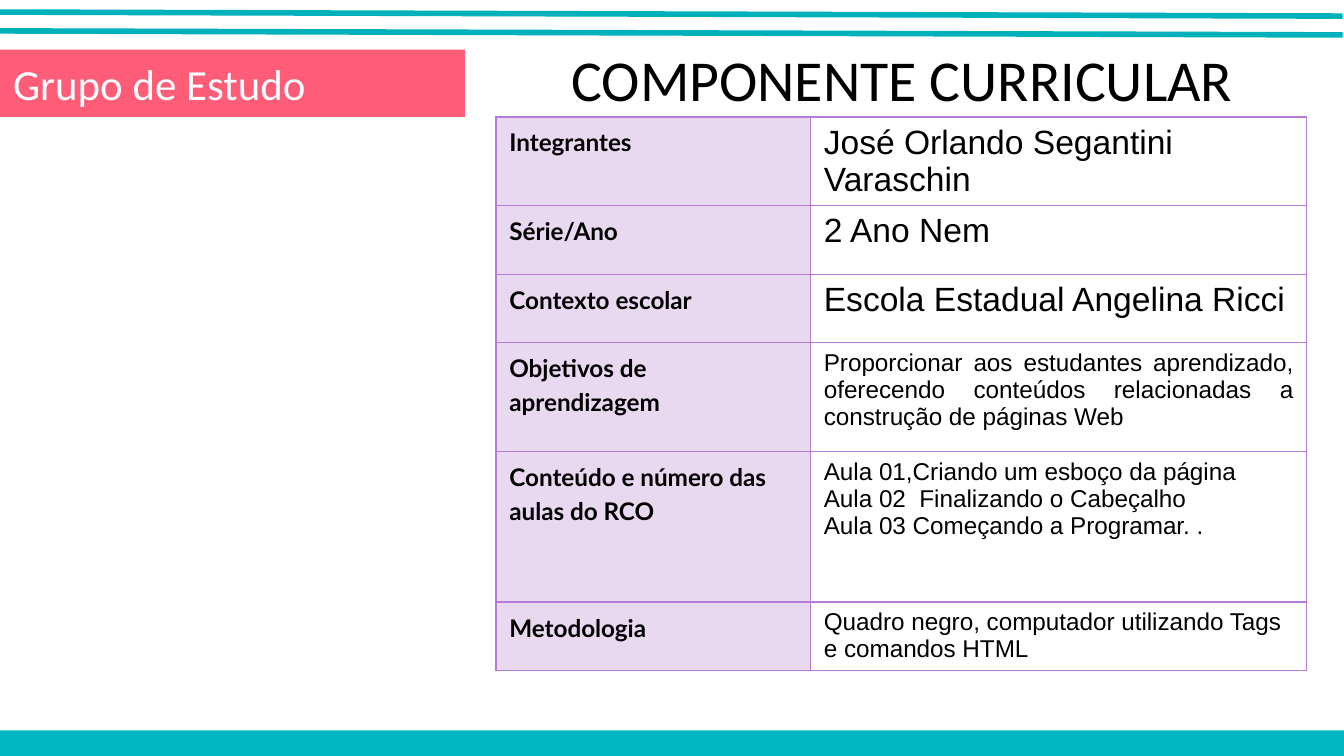
from lxml.etree import SubElement
from pptx import Presentation
from pptx.dml.color import RGBColor
from pptx.enum.shapes import MSO_CONNECTOR as Line, MSO_SHAPE as Shape
from pptx.enum.text import MSO_ANCHOR as Anchor, PP_ALIGN as Align
from pptx.oxml.ns import qn
from pptx.util import Inches, Pt

WHITE = RGBColor(0xFF, 0xFF, 0xFF)
BLACK = RGBColor(0x00, 0x00, 0x00)
TEAL = RGBColor(0x00, 0xB7, 0xC1)
DEEP_TEAL = RGBColor(0x00, 0xB0, 0xBA)
CORAL = RGBColor(0xFF, 0x5C, 0x77)
LILAC = RGBColor(0xCE, 0xAD, 0xE2)
BORDER = RGBColor(0xB5, 0x7C, 0xD7)

deck = Presentation()
W = Inches(10)
H = W * 9 // 16
deck.slide_width, deck.slide_height = W, H
slide = deck.slides.add_slide(deck.slide_layouts[5])


def write(paragraph, text, align=Align.LEFT, spacing=1.0, **font):
    paragraph.alignment = align
    paragraph.line_spacing = spacing
    run = paragraph.add_run()
    run.text = text
    run.font.color.rgb = font.pop("color", BLACK)
    for name, value in font.items():
        setattr(run.font, name, value)


def set_frame(frame, inset):
    settings = {"margin_left": inset, "margin_right": inset, "margin_top": inset,
                "margin_bottom": inset, "word_wrap": True, "vertical_anchor": Anchor.MIDDLE}
    for name, value in settings.items():
        setattr(frame, name, value)


for y in (0.09, 0.23):
    stripe = slide.shapes.add_connector(Line.STRAIGHT, 0, Inches(y), Inches(9.99), Inches(y + 0.03))
    stripe.line.color.rgb = DEEP_TEAL
    stripe.line.width = Pt(3)
    SubElement(stripe._element.spPr, qn("a:effectLst"))

bands = []
for top, width, height, color in ((H - Inches(0.19), W, Inches(0.19), TEAL),
                                  (Inches(0.37), Inches(3.46), Inches(0.5), CORAL)):
    band = slide.shapes.add_shape(Shape.RECTANGLE, 0, top, width, height)
    band.shadow.inherit = False
    band.fill.solid()
    band.fill.fore_color.rgb = color
    band.line.fill.background()
    bands.append(band)

group_label = bands[1].text_frame
set_frame(group_label, Inches(0.1))
write(group_label.paragraphs[0], "Grupo de Estudo", size=Pt(23), name="Calibri", color=WHITE)

heading = slide.shapes.title
heading.left, heading.top, heading.width, heading.height = map(Inches, (2.86, 0.22, 7.7, 0.72))
set_frame(heading.text_frame, Inches(0.1))
write(heading.text_frame.paragraphs[0], "COMPONENTE CURRICULAR", Align.CENTER,
      size=Pt(31), name="Calibri")

plan = [
    ("Integrantes", ["José Orlando Segantini Varaschin"], 18, Align.LEFT, 0.51),
    ("Série/Ano", ["2 Ano Nem"], 18, Align.LEFT, 0.51),
    ("Contexto escolar", ["Escola Estadual Angelina Ricci"], 18, Align.LEFT, 0.51),
    ("Objetivos de aprendizagem",
     ["Proporcionar aos estudantes aprendizado, oferecendo conteúdos relacionadas a "
      "construção de páginas Web"], 13, Align.JUSTIFY, 0.81),
    ("Conteúdo e número das aulas do RCO",
     ["Aula 01,Criando um esboço da página", "Aula 02  Finalizando o Cabeçalho",
      "Aula 03 Começando a Programar. ."], 13, Align.LEFT, 1.12),
    ("Metodologia", ["Quadro negro, computador utilizando Tags e comandos HTML"],
     13, Align.LEFT, 0.51),
]
table = slide.shapes.add_table(len(plan), 2, Inches(3.69), Inches(0.87),
                               Inches(6.04), Inches(3.95)).table
table.first_row = table.horz_banding = False
for column, width in zip(table.columns, (2.34, 3.69)):
    column.width = Inches(width)

for row, (topic, details, size, align, height) in enumerate(plan):
    table.rows[row].height = Inches(height)
    topic_cell, detail_cell = table.cell(row, 0), table.cell(row, 1)
    write(topic_cell.text_frame.paragraphs[0], topic, spacing=1.15,
          size=Pt(13), name="Lato", bold=True)
    for i, detail in enumerate(details):
        body = detail_cell.text_frame
        write(body.add_paragraph() if i else body.paragraphs[0], detail, align,
              size=Pt(size), name="Arial", bold=False)
    for cell in (topic_cell, detail_cell):
        properties = cell._tc.get_or_add_tcPr()
        for side in ("a:lnL", "a:lnR", "a:lnT", "a:lnB"):
            edge = SubElement(properties, qn(side), w=str(Pt(0.75)))
            paint = SubElement(edge, qn("a:solidFill"))
            SubElement(paint, qn("a:srgbClr"), val=str(BORDER))
    topic_cell.fill.solid()
    topic_cell.fill.fore_color.rgb = LILAC
    tint = topic_cell._tc.tcPr.find(qn("a:solidFill")).find(qn("a:srgbClr"))
    SubElement(tint, qn("a:alpha"), val="46000")
    detail_cell.fill.background()

deck.save("out.pptx")
